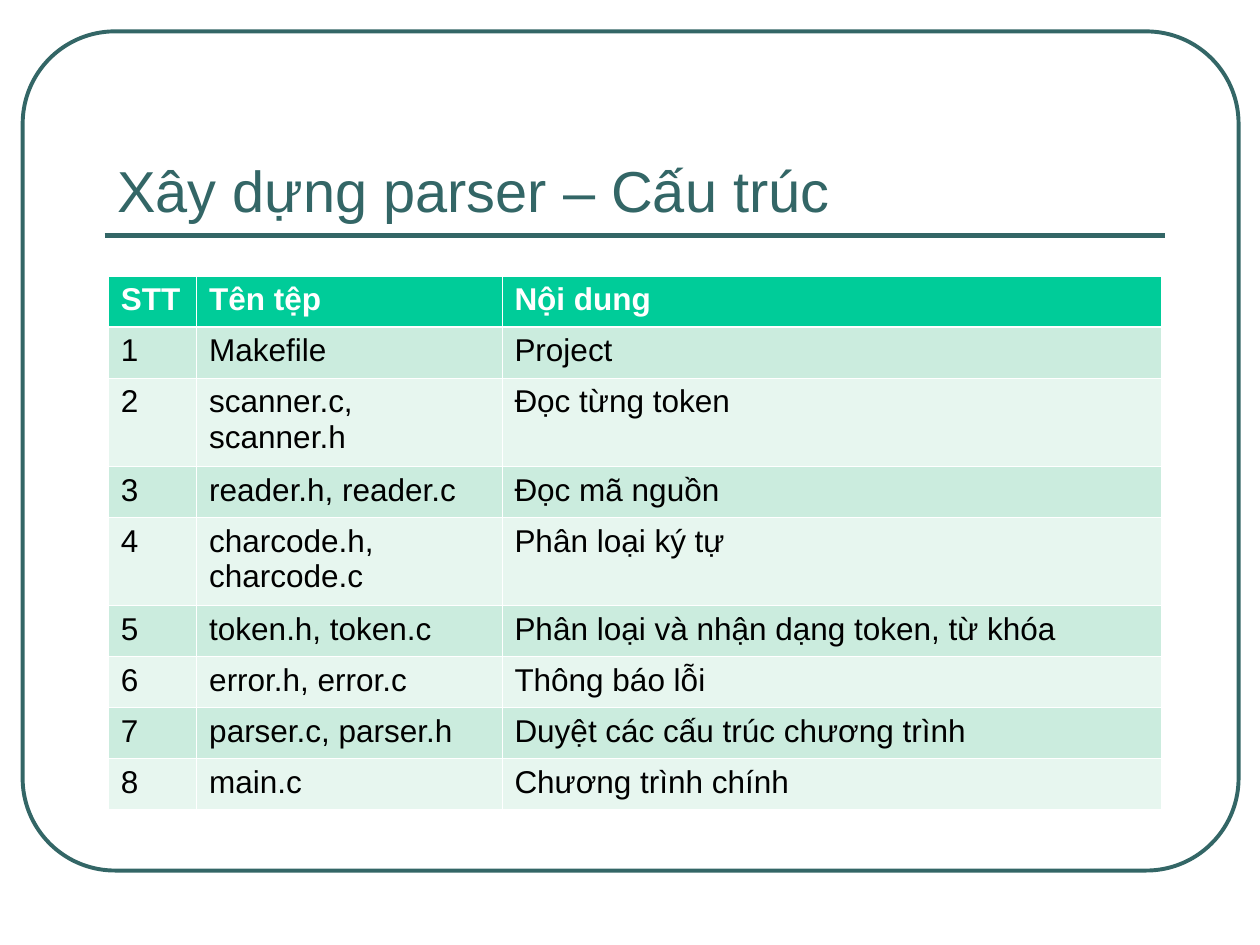
from lxml.etree import SubElement
from pptx import Presentation
from pptx.dml.color import RGBColor
from pptx.enum.shapes import MSO_CONNECTOR, MSO_SHAPE
from pptx.enum.text import MSO_ANCHOR, MSO_AUTO_SIZE, PP_ALIGN
from pptx.oxml import parse_xml
from pptx.oxml.ns import nsdecls, qn
from pptx.util import Inches, Pt

COLORS = {
    "frame": "336666",
    "header": "00CC99",
    "odd": "CBECDE",
    "even": "E7F6EF",
    "white": "FFFFFF",
    "black": "000000",
}
FONT = "Arial"
WIDTH, HEIGHT = Inches(10), Inches(7.5)
TWO_LINE_RATIO = 1.73
THIN, THICK = 0.45, 1.47
COLUMN_WEIGHTS = [0.7, 2.42, 5.23]
HEADINGS = ("STT", "Tên tệp", "Nội dung")
FILES = [
    ("Makefile", "Project", 1),
    ("scanner.c, scanner.h", "Đọc từng token", TWO_LINE_RATIO),
    ("reader.h, reader.c", "Đọc mã nguồn", 1),
    ("charcode.h, charcode.c", "Phân loại ký tự", TWO_LINE_RATIO),
    ("token.h, token.c", "Phân loại và nhận dạng token, từ khóa", 1),
    ("error.h, error.c", "Thông báo lỗi", 1),
    ("parser.c, parser.h", "Duyệt các cấu trúc chương trình", 1),
    ("main.c", "Chương trình chính", 1),
]


def color(name):
    return RGBColor.from_string(COLORS[name])


def percent_box(left, top, width, height):
    return (int(WIDTH * left / 100), int(HEIGHT * top / 100),
            int(WIDTH * width / 100), int(HEIGHT * height / 100))


def style_text(paragraph, size, color_name, bold=False):
    paragraph.alignment = PP_ALIGN.LEFT
    for run in paragraph.runs:
        run.font.name = FONT
        run.font.size = Pt(size)
        run.font.bold = bold
        run.font.color.rgb = color(color_name)


def add_frame(slide, box):
    frame = slide.shapes.add_shape(MSO_SHAPE.ROUNDED_RECTANGLE, *box)
    frame.adjustments[0] = 0.11
    frame.shadow.inherit = False
    frame.fill.background()
    frame.line.color.rgb = color("frame")
    frame.line.width = Pt(2.25)


def add_heading(slide, box):
    left, top, width, height = box
    title = slide.shapes.title
    title.left, title.top, title.width, title.height = box
    title.text_frame.text = "Xây dựng parser – Cấu trúc"
    title.text_frame.auto_size = MSO_AUTO_SIZE.NONE
    title.text_frame.vertical_anchor = MSO_ANCHOR.BOTTOM
    style_text(title.text_frame.paragraphs[0], 33, "frame")

    rule_y = top + int(height * 1.03)
    rule = slide.shapes.add_connector(
        MSO_CONNECTOR.STRAIGHT, left, rule_y, left + width, rule_y)
    rule.line.color.rgb = color("frame")
    rule.line.width = Pt(3)
    SubElement(rule.element.spPr, qn("a:effectLst"))


def set_borders(cell, top, bottom):
    widths = {"lnL": THIN, "lnR": THIN, "lnT": top, "lnB": bottom}
    for position, (side, points) in enumerate(widths.items()):
        border = parse_xml(
            f'<a:{side} {nsdecls("a")} w="{Pt(points)}"><a:solidFill>'
            f'<a:srgbClr val="{COLORS["white"]}"/></a:solidFill></a:{side}>')
        cell._tc.get_or_add_tcPr().insert(position, border)


def add_file_table(slide, box):
    left, top, width, height = box
    entries = [HEADINGS] + [
        (str(number), name, purpose)
        for number, (name, purpose, _) in enumerate(FILES, 1)]
    row_weights = [1] + [weight for _, _, weight in FILES]
    table = slide.shapes.add_table(
        len(entries), len(HEADINGS), left, top, width, height).table
    for column, weight in zip(table.columns, COLUMN_WEIGHTS):
        column.width = int(width * weight / sum(COLUMN_WEIGHTS))
    for row, weight in zip(table.rows, row_weights):
        row.height = int(height * weight / sum(row_weights))

    for row_index, entry in enumerate(entries):
        is_header = row_index == 0
        band = "header" if is_header else "odd" if row_index % 2 else "even"
        for column_index, wording in enumerate(entry):
            cell = table.cell(row_index, column_index)
            cell.text_frame.text = wording
            style_text(cell.text_frame.paragraphs[0], 18,
                       "white" if is_header else "black", is_header)
            cell.fill.solid()
            cell.fill.fore_color.rgb = color(band)
            set_borders(cell, THICK if row_index == 1 else THIN,
                        THICK if is_header else THIN)


def main():
    deck = Presentation()
    deck.slide_width, deck.slide_height = WIDTH, HEIGHT
    slide = deck.slides.add_slide(deck.slide_layouts[5])
    add_frame(slide, percent_box(1.8, 3.33, 96.5, 88.8))
    add_heading(slide, percent_box(8.3, 7.73, 84.15, 16.67))
    add_file_table(slide, percent_box(8.6, 29.2, 83.6, 56.5))
    deck.save("out.pptx")


if __name__ == "__main__":
    main()
